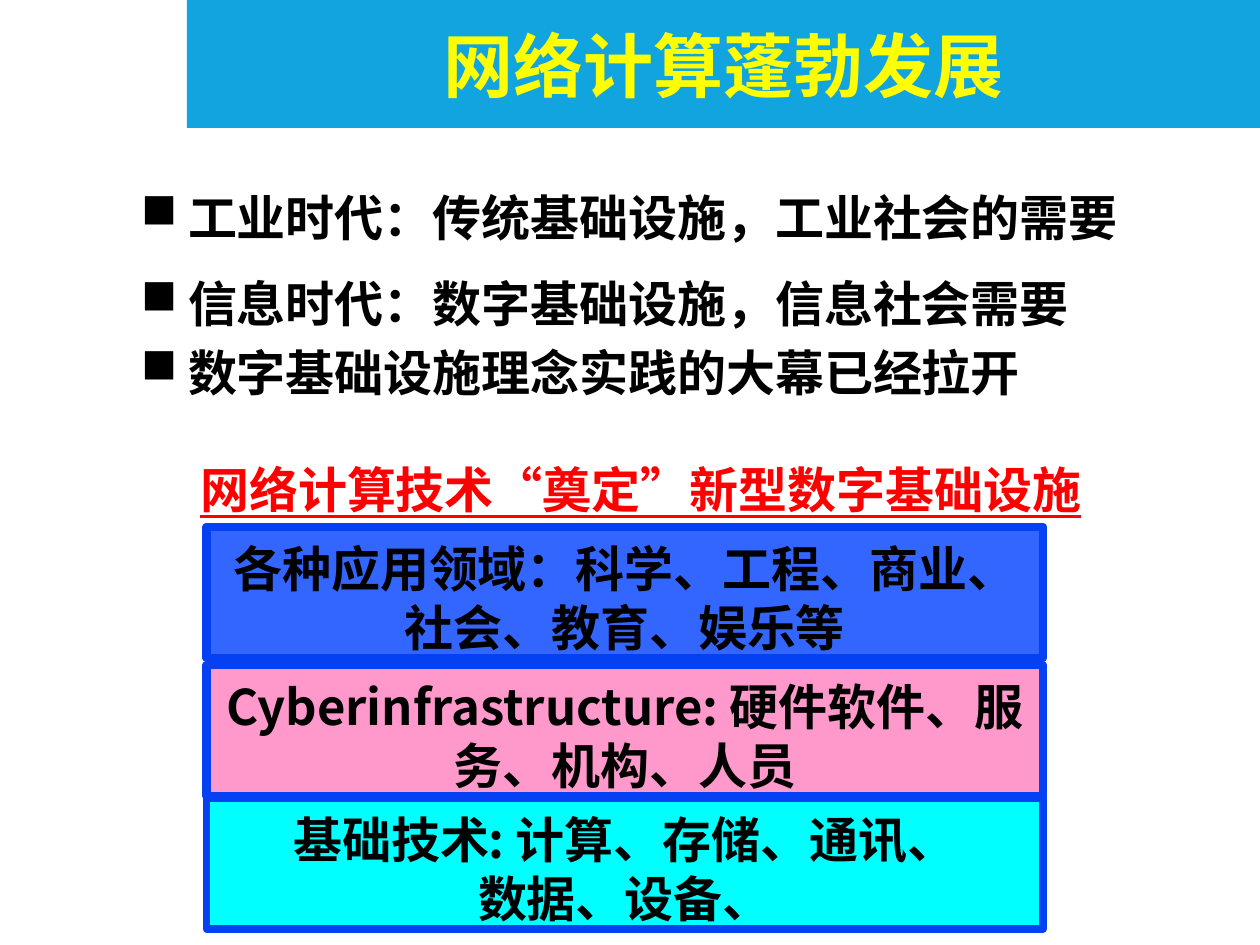
from dataclasses import dataclass

from lxml import etree
from pptx import Presentation
from pptx.dml.color import RGBColor
from pptx.enum import shapes, text
from pptx.oxml.ns import qn
from pptx.util import Pt


@dataclass(frozen=True)
class Theme:
    banner: str = "11A4DF"
    title: str = "FFFF00"
    ink: str = "000000"
    accent: str = "FF0000"
    border: str = "0640F3"
    applications: str = "3366FF"
    infrastructure: str = "FF99CC"
    technology: str = "00FFFF"
    title_size: float = 40
    body_size: float = 28
    line_height: float = 33.8
    cjk_font: str = "Noto Sans CJK SC"
    latin_font: str = "Calibri"


class PageBuilder:
    def __init__(self, page, theme):
        self.page = page
        self.theme = theme

    def frame(self, box, lines, wrap=True, anchor=text.MSO_ANCHOR.TOP):
        frame = box.text_frame
        frame.text = "\n".join(lines)
        frame.word_wrap = wrap
        frame.vertical_anchor = anchor
        frame.margin_top, frame.margin_bottom = Pt(6.6), Pt(0.6)
        return frame

    def style(self, para, color, size, font, underline=None):
        for span in para.runs:
            span.font.size = Pt(size)
            span.font.bold = True
            span.font.underline = underline
            span.font.color.rgb = RGBColor.from_string(color)
            span.font.name = font
            east_asian = etree.SubElement(span.font._element, qn("a:ea"))
            east_asian.set("typeface", self.theme.cjk_font)

    def rectangle(self, left, top, width, height, fill):
        box = self.page.shapes.add_shape(
            shapes.MSO_SHAPE.RECTANGLE, Pt(left), Pt(top), Pt(width), Pt(height))
        box.shadow.inherit = False
        box.fill.solid()
        box.fill.fore_color.rgb = RGBColor.from_string(fill)
        box.line.fill.background()
        return box

    def banner(self, left, top, width, height, line):
        box = self.rectangle(left, top, width, height, self.theme.banner)
        frame = self.frame(box, [line], anchor=text.MSO_ANCHOR.MIDDLE)
        frame.margin_top = frame.margin_bottom = Pt(3.6)
        para = frame.paragraphs[0]
        para.alignment = text.PP_ALIGN.CENTER
        self.style(para, self.theme.title, self.theme.title_size, self.theme.cjk_font)

    def bullets(self, left, top, width, height, items):
        box = self.page.shapes.add_textbox(Pt(left), Pt(top), Pt(width), Pt(height))
        frame = self.frame(box, [line for line, _ in items])
        for index, (para, (_, spacing)) in enumerate(zip(frame.paragraphs, items)):
            properties = para._p.get_or_add_pPr()
            properties.set("marL", str(Pt(27)))
            properties.set("indent", str(-Pt(27)))
            etree.SubElement(properties, qn("a:buChar")).set("char", "■")
            para.line_spacing = Pt(self.theme.line_height * spacing)
            para.space_before = Pt(5.6 if index else 0)
            self.style(para, self.theme.ink, self.theme.body_size, self.theme.cjk_font)

    def heading(self, left, top, width, height, line):
        box = self.page.shapes.add_textbox(Pt(left), Pt(top), Pt(width), Pt(height))
        para = self.frame(box, [line], wrap=False).paragraphs[0]
        para.alignment = text.PP_ALIGN.CENTER
        para.line_spacing = Pt(50)
        self.style(para, self.theme.accent, self.theme.body_size,
                   self.theme.latin_font, underline=True)

    def layer(self, top, fill, border_width, font, lines):
        box = self.rectangle(118, top, 478, 75, fill)
        box.line.color.rgb = RGBColor.from_string(self.theme.border)
        box.line.width = Pt(border_width)
        frame = self.frame(box, lines)
        frame.margin_left = frame.margin_right = Pt(6)
        for para in frame.paragraphs:
            para.alignment = text.PP_ALIGN.CENTER
            para.line_spacing = Pt(self.theme.line_height)
            self.style(para, self.theme.ink, self.theme.body_size, font)


def main():
    deck = Presentation()
    deck.slide_width, deck.slide_height = Pt(720), Pt(540)
    theme = Theme()
    builder = PageBuilder(deck.slides.add_slide(deck.slide_layouts[6]), theme)

    # Title and key points
    builder.banner(106.8, 0, 613.2, 73.2, "网络计算蓬勃发展")
    builder.bullets(73.4, 90, 612, 180, [
        ("工业时代：传统基础设施，工业社会的需要", 1.3),
        ("信息时代：数字基础设施，信息社会需要", 1.3),
        ("数字基础设施理念实践的大幕已经拉开", 1),
    ])

    # Stack of layers, bottom to top
    builder.layer(455.8, theme.technology, 4.5, theme.cjk_font,
                  ["基础技术: 计算、存储、通讯、", "数据、设备、"])
    builder.layer(380, theme.infrastructure, 4.75, theme.cjk_font,
                  ["Cyberinfrastructure: 硬件软件、服务、机构、人员"])
    builder.layer(301, theme.applications, 4.75, theme.latin_font,
                  ["各种应用领域：科学、工程、商业、社会、教育、娱乐等"])

    # Heading above the stack
    builder.heading(104.4, 239.8, 523.4, 52.6, "网络计算技术“奠定”新型数字基础设施")

    deck.save("out.pptx")


if __name__ == "__main__":
    main()
